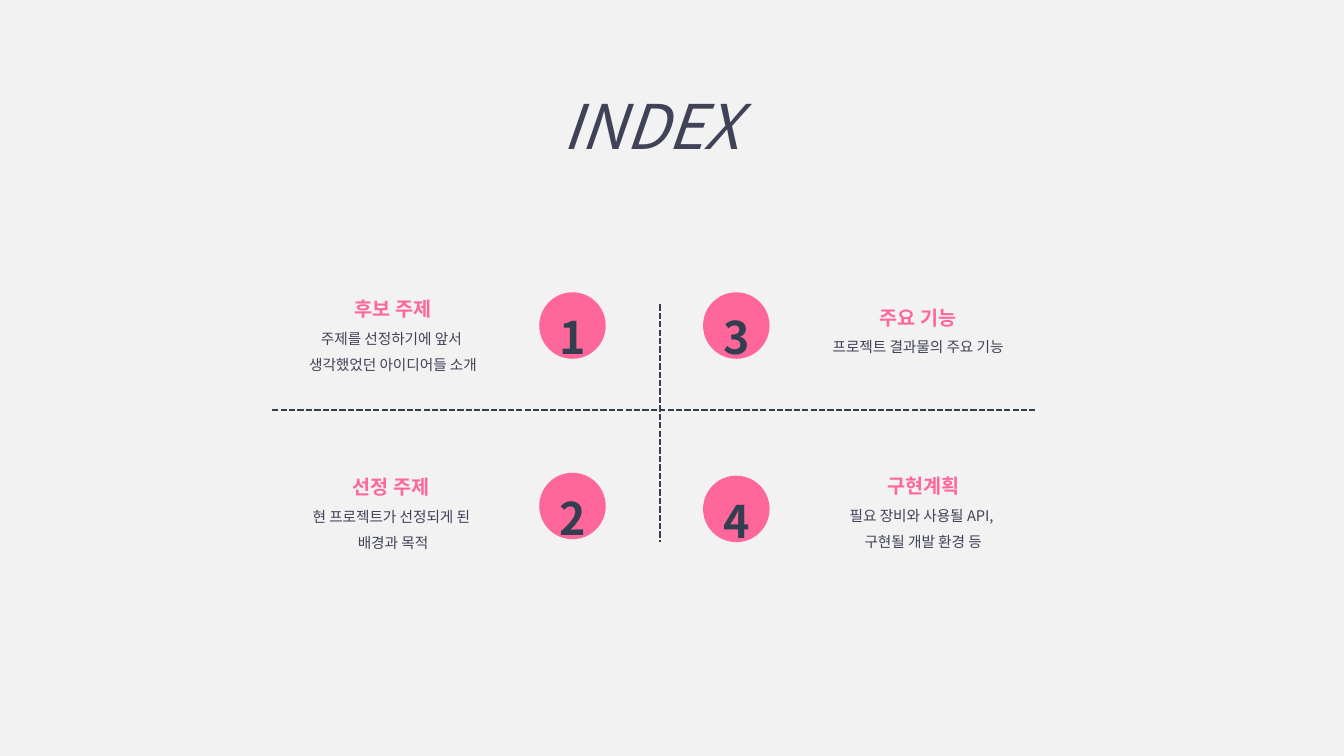
from lxml import etree
from pptx import Presentation
from pptx.dml.color import RGBColor
from pptx.enum.dml import MSO_LINE
from pptx.enum.shapes import MSO_CONNECTOR, MSO_SHAPE
from pptx.enum.text import MSO_AUTO_SIZE, PP_ALIGN
from pptx.oxml.ns import qn
from pptx.util import Pt

STRAIGHT = MSO_CONNECTOR.STRAIGHT
OVAL = MSO_SHAPE.OVAL
DASH = MSO_LINE.SQUARE_DOT
CENTER = PP_ALIGN.CENTER
GROW = MSO_AUTO_SIZE.SHAPE_TO_FIT_TEXT

FONT = "Noto Sans CJK KR"
COLORS = {
    "background": "F2F2F2",
    "accent": "FF6699",
    "text": "404257",
    "dark": "333F50",
}
CIRCLE = 47.5
NUMERAL_WIDTH, NUMERAL_HEIGHT = 67.7, 57.6
TOPIC_WIDTH = 172.8

# number, heading, description, circle (left, top), topic (left, top, height)
TOPICS = [
    ("1", "후보 주제", "주제를 선정하기에 앞서 \v생각했었던 아이디어들 소개",
     (385.2, 208.8), (194.4, 200.2, 70.6)),
    ("2", "선정 주제 ", "현 프로젝트가 선정되게 된 \v배경과 목적",
     (385.2, 337.7), (194.4, 327.6, 70.6)),
    ("3", "주요 기능", "프로젝트 결과물의 주요 기능",
     (502.2, 208.8), (569.5, 206.6, 51.8)),
    ("4", "구현계획", "필요 장비와 사용될 API, \v구현될 개발 환경 등",
     (502.2, 339.8), (573.1, 326.9, 70.6)),
]


def color(name):
    return RGBColor.from_string(COLORS[name])


def add_paragraph(frame, text, *, size, ink, bold=False, italic=False):
    """Fill the empty first paragraph of the frame, or append a new one."""
    paragraph = frame.paragraphs[0] if not frame.text else frame.add_paragraph()
    paragraph.text = text
    paragraph.alignment = CENTER
    paragraph.line_spacing = 1.5
    for run in paragraph.runs:
        font = run.font
        font.name = FONT
        font.size = Pt(size)
        font.bold = bold
        font.italic = italic
        font.color.rgb = color(ink)
        east_asian = etree.Element(qn("a:ea"), typeface=FONT)
        font._element.find(qn("a:latin")).addnext(east_asian)


def add_frame(slide, left, top, width, height):
    box = slide.shapes.add_textbox(Pt(left), Pt(top), Pt(width), Pt(height))
    frame = box.text_frame
    frame.word_wrap = True
    frame.auto_size = GROW
    return frame


def add_title(slide, left, top, width, height):
    frame = add_frame(slide, left, top, width, height)
    add_paragraph(frame, "INDEX", size=44, ink="text", italic=True)


def add_topic(slide, left, top, height, heading, description):
    frame = add_frame(slide, left, top, TOPIC_WIDTH, height)
    add_paragraph(frame, heading, size=14, ink="accent", bold=True)
    add_paragraph(frame, description, size=10.5, ink="text")


def add_number(slide, left, top, number):
    """Draw a circle with a numeral box centred on it and sharing its bottom."""
    circle = slide.shapes.add_shape(OVAL, Pt(left), Pt(top), Pt(CIRCLE), Pt(CIRCLE))
    circle.shadow.inherit = False
    circle.fill.solid()
    circle.fill.fore_color.rgb = color("accent")
    circle.line.fill.background()
    frame = add_frame(slide, left + (CIRCLE - NUMERAL_WIDTH) / 2,
                      top + CIRCLE - NUMERAL_HEIGHT, NUMERAL_WIDTH, NUMERAL_HEIGHT)
    add_paragraph(frame, number, size=32, ink="dark", bold=True)


def add_divider(slide, left, top, right, bottom):
    divider = slide.shapes.add_connector(STRAIGHT, Pt(left), Pt(top), Pt(right), Pt(bottom))
    divider.line.color.rgb = color("dark")
    divider.line.width = Pt(1.5)
    divider.line.dash_style = DASH
    etree.SubElement(divider._element.spPr, qn("a:effectLst"))


def add_index(slide):
    add_title(slide, 249.1, 33.1, 432, 79.2)
    for number, heading, description, circle_at, topic_at in TOPICS:
        add_topic(slide, *topic_at, heading, description)
        add_number(slide, *circle_at, number)
    add_divider(slide, 194.4, 293, 739.4, 293)
    add_divider(slide, 471.6, 217.4, 471.6, 387.4)


def main():
    presentation = Presentation()
    presentation.slide_width = Pt(960)
    presentation.slide_height = Pt(540)
    slide = presentation.slides.add_slide(presentation.slide_layouts[6])
    slide.background.fill.solid()
    slide.background.fill.fore_color.rgb = color("background")
    add_index(slide)
    presentation.save("out.pptx")


if __name__ == "__main__":
    main()
